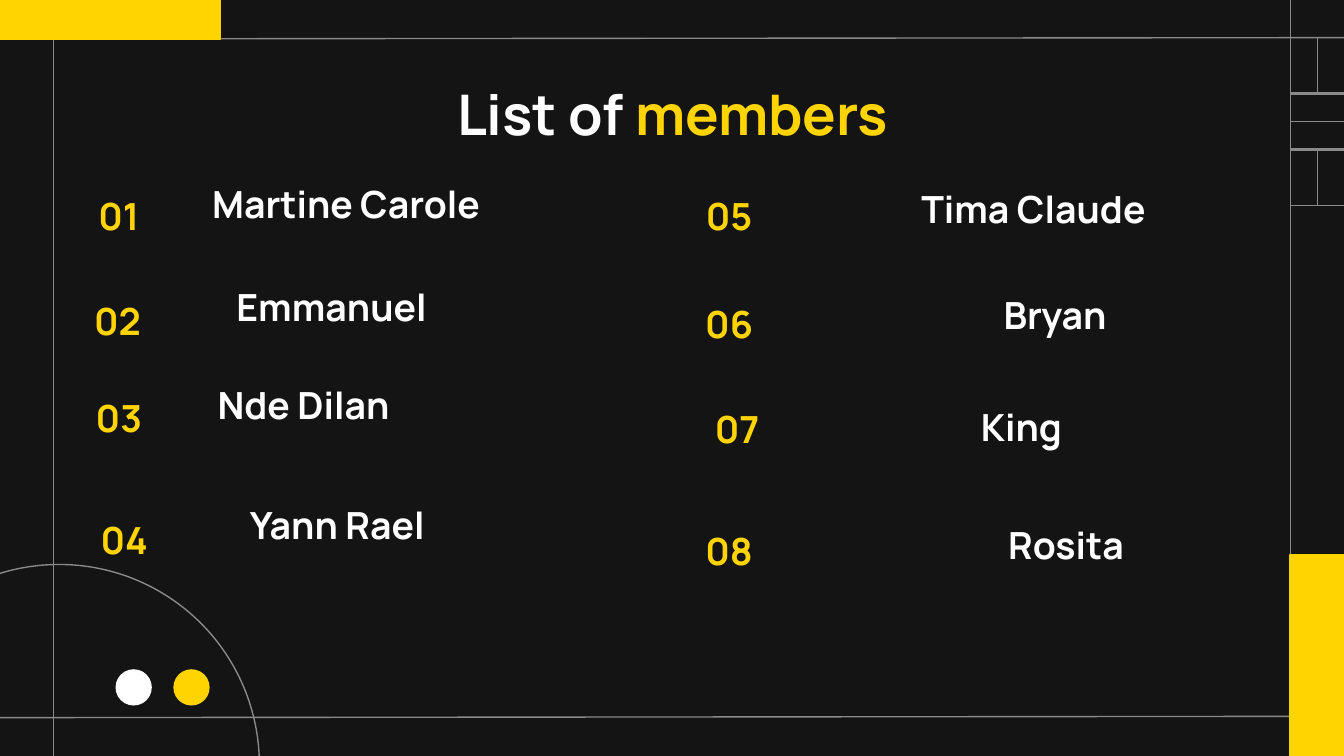
"""Build the "List of members" slide."""
from dataclasses import dataclass

from lxml import etree
from pptx import Presentation
from pptx.dml.color import RGBColor
from pptx.enum import shapes, text
from pptx.oxml import ns
from pptx import util as u


@dataclass(frozen=True)
class Theme:
    font: str = "Manrope"
    back: str = "141414"
    white: str = "FFFFFF"
    accent: str = "FFD400"
    grey: str = "8A8A8A"
    title: int = 30
    body: int = 20
    line: float = 0.75


T = Theme()
RECT, OVAL = shapes.MSO_SHAPE.RECTANGLE, shapes.MSO_SHAPE.OVAL
LEFT, CENTER = text.PP_ALIGN.LEFT, text.PP_ALIGN.CENTER
TOP, MIDDLE, BOTTOM = (text.MSO_ANCHOR.TOP, text.MSO_ANCHOR.MIDDLE,
                       text.MSO_ANCHOR.BOTTOM)

TITLE = [("List of ", T.white), ("members", T.accent)]
NUMBER_SIZE, NAME_SIZE = (0.77, 0.49), (2.42, 0.53)
MEMBERS = [
    ("01", (0.5, 1.36), "Martine Carole", (1.48, 1.25), LEFT),
    ("02", (0.49, 2.14), "Emmanuel", (1.66, 2.02), LEFT),
    ("03", (0.5, 2.86), "Nde Dilan", (1.52, 2.75), LEFT),
    ("04", (0.54, 3.77), "Yann Rael", (1.76, 3.64), LEFT),
    ("05", (5.04, 1.36), "Tima Claude", (6.48, 1.29), CENTER),
    ("06", (5.04, 2.16), "Bryan", (6.64, 2.08), CENTER),
    ("07", (5.1, 2.94), "King", (6.39, 2.91), CENTER),
    ("08", (5.04, 3.85), "Rosita ", (6.75, 3.79), CENTER),
]
FRAME_LINES = [
    (-0.03, 0.29, 10.03, 0.28), (-0.03, 5.34, 10.03, 5.33),
    (0.4, -0.01, 0.4, 5.66), (9.6, -0.01, 9.6, 5.66),
]
TILE_X, TILE_Y, TILE_SIZE, TILE_STEP = 9.6, 0.28, 0.41, 0.42
TILE_SPLITS = [(0, 2), (1, 3), (0, 2)]
ACCENT_BARS = [(9.6, 4.13, 0.4, 1.53), (0, -0.01, 1.64, 0.3)]
ARC = (-1.05, 4.2, 2.98, 2.98)
DOTS = [(0.86, T.white), (1.29, T.accent)]
DOT_Y, DOT_SIZE = 4.98, 0.27


def rgb(color):
    return RGBColor.from_string(color)


def add_shape(s, kind, box, fill=None, line=None):
    sp = s.shapes.add_shape(kind, *map(u.Inches, box))
    sp.shadow.inherit = False
    if fill:
        sp.fill.solid()
        sp.fill.fore_color.rgb = rgb(fill)
    else:
        sp.fill.background()
    if line:
        sp.line.color.rgb = rgb(line)
        sp.line.width = u.Pt(T.line)
    else:
        sp.line.fill.background()
    return sp


def add_line(s, ends=(0, 0, 0, 0)):
    cx = s.shapes.add_connector(shapes.MSO_CONNECTOR.STRAIGHT, *map(u.Inches, ends))
    cx.line.color.rgb = rgb(T.grey)
    cx.line.width = u.Pt(T.line)
    etree.SubElement(cx._element.spPr, ns.qn("a:effectLst"))
    return cx


def add_text(s, box, runs, size, anchor, align):
    tf = s.shapes.add_textbox(*map(u.Inches, box)).text_frame
    tf.word_wrap = True
    tf.vertical_anchor = anchor
    tf.margin_left = tf.margin_right = tf.margin_top = tf.margin_bottom = u.Inches(0.1)
    p = tf.paragraphs[0]
    p.alignment = align
    for words, color in runs:
        r = p.add_run()
        r.text = words
        r.font.name = T.font
        r.font.size = u.Pt(size)
        r.font.bold = True
        r.font.color.rgb = rgb(color)


def add_decor(s):
    for ends in FRAME_LINES:
        add_line(s, ends)
    for i, (start, end) in enumerate(TILE_SPLITS):
        tile = add_shape(s, RECT, (TILE_X, TILE_Y + i * TILE_STEP, TILE_SIZE, TILE_SIZE),
                         line=T.grey)
        split = add_line(s)
        split.begin_connect(tile, start)
        split.end_connect(tile, end)
    for box in ACCENT_BARS:
        add_shape(s, RECT, box, T.accent, T.accent)
    add_shape(s, OVAL, ARC, line=T.grey)
    for x, color in DOTS:
        add_shape(s, OVAL, (x, DOT_Y, DOT_SIZE, DOT_SIZE), color)


def main():
    prs = Presentation()
    prs.slide_width = u.Inches(10)
    prs.slide_height = prs.slide_width * 9 // 16
    s = prs.slides.add_slide(prs.slide_layouts[6])
    s.background.fill.solid()
    s.background.fill.fore_color.rgb = rgb(T.back)
    add_decor(s)
    add_text(s, (0.79, 0.49, 8.43, 0.63), TITLE, T.title, TOP, CENTER)
    for number, number_at, name, name_at, align in MEMBERS:
        add_text(s, number_at + NUMBER_SIZE, [(number, T.accent)], T.body, MIDDLE, CENTER)
        add_text(s, name_at + NAME_SIZE, [(name, T.white)], T.body, BOTTOM, align)
    prs.save("out.pptx")


if __name__ == "__main__":
    main()
